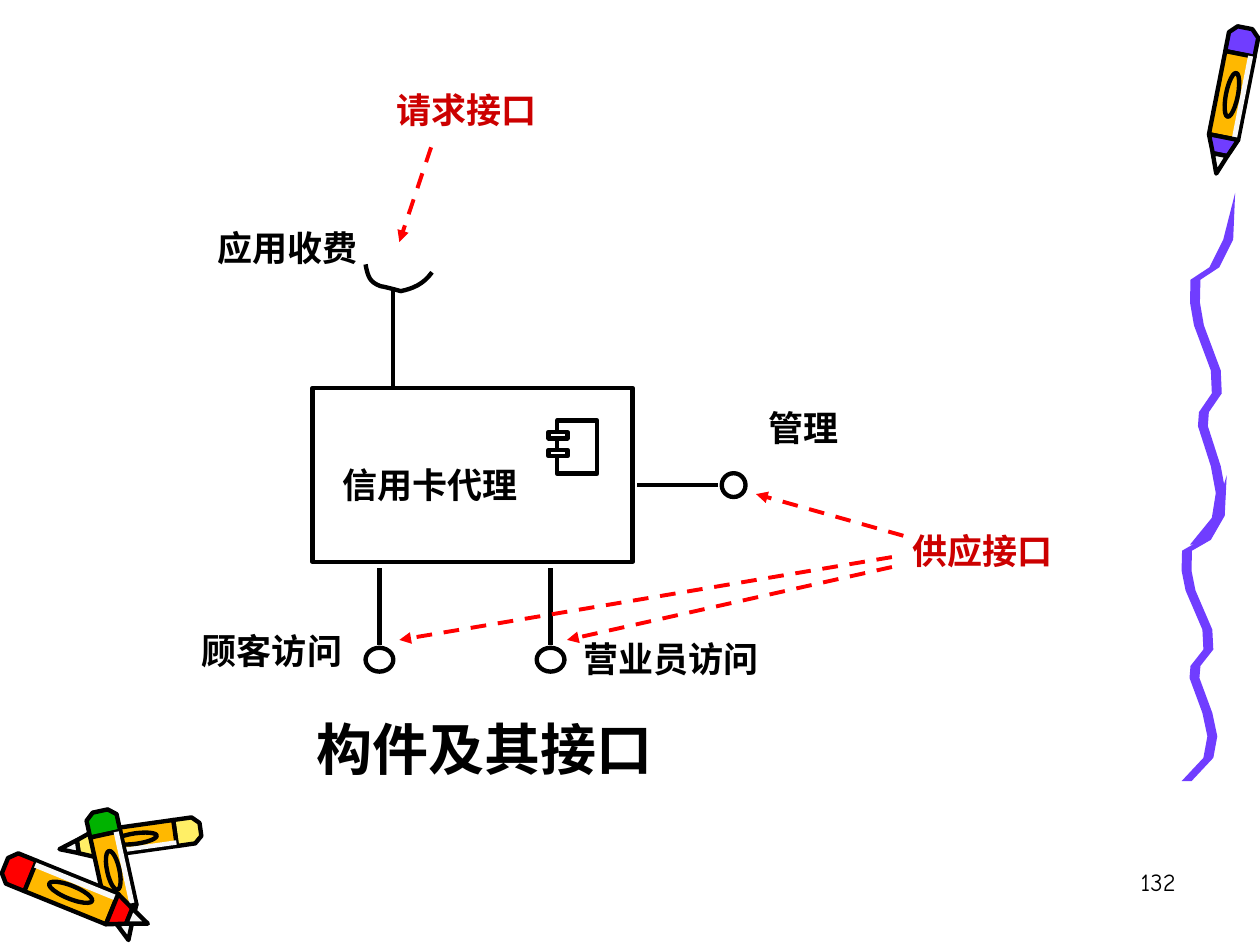
from math import atan2, degrees, hypot

from lxml.etree import SubElement
from pptx import Presentation
from pptx.dml.color import RGBColor
from pptx.enum.dml import MSO_LINE
from pptx.enum.shapes import MSO_CONNECTOR, MSO_SHAPE
from pptx.enum.text import MSO_ANCHOR, PP_ALIGN
from pptx.oxml.ns import qn
from pptx.util import Cm, Pt

BLACK = RGBColor(0x00, 0x00, 0x00)
WHITE = RGBColor(0xFF, 0xFF, 0xFF)
PAPER = RGBColor(0xF8, 0xF8, 0xF8)
RED = RGBColor(0xFF, 0x00, 0x00)
CRIMSON = RGBColor(0xCC, 0x00, 0x00)
GREEN = RGBColor(0x00, 0xB2, 0x00)
ORANGE = RGBColor(0xFF, 0xB8, 0x00)
YELLOW = RGBColor(0xFF, 0xEF, 0x66)
PURPLE = RGBColor(0x70, 0x3D, 0xFF)
CJK_FONT = "Noto Sans CJK SC"
LINE_WIDTH = Pt(2.5)

presentation = Presentation()
presentation.slide_width = Cm(25.4)
presentation.slide_height = Cm(19.05)
slide = presentation.slides.add_slide(presentation.slide_layouts[6])
shapes = slide.shapes


def add_outline(points, close=True):
    corners = [(Cm(x), Cm(y)) for x, y in points]
    builder = shapes.build_freeform(*corners[0])
    builder.add_line_segments(corners[1:], close=close)
    shape = builder.convert_to_shape()
    shape.shadow.inherit = False
    return shape


def add_line(start_x, start_y, end_x, end_y, color=BLACK, width=LINE_WIDTH):
    connector = shapes.add_connector(
        MSO_CONNECTOR.STRAIGHT, Cm(start_x), Cm(start_y), Cm(end_x), Cm(end_y))
    connector.line.color.rgb = color
    connector.line.width = width
    SubElement(connector._element.spPr, qn("a:effectLst"))
    return connector


ribbon_center = [
    (0.9, 0), (0.76, 0.94), (0.48, 1.5), (0.1, 1.75), (0.09, 2.21), (0.17, 2.67), (0.51, 3.58),
    (0.53, 4.04), (0.27, 4.42), (0.25, 4.7), (0.51, 5.51), (0.61, 6.05), (0.53, 6.55), (0.09, 7.09),
]
ribbon_half_width = 0.1
for left, top, stretch in [(23.83, 9.58, 0.87), (24, 3.89, 1)]:
    center = [(left + x, top + y * stretch) for x, y in ribbon_center]
    left_edge = [(x - ribbon_half_width, y) for x, y in center[1:]]
    right_edge = [(x + ribbon_half_width, y) for x, y in center[1:]]
    ribbon = add_outline([center[0]] + right_edge + left_edge[::-1])
    ribbon.fill.solid()
    ribbon.fill.fore_color.rgb = PURPLE
    ribbon.line.fill.background()

# Fractions run along the crayon from cap to tip, then across it from its axis.
cap = [(0.18, -0.5), (0.05, -0.5), (0, -0.25), (0, 0.25), (0.05, 0.5), (0.18, 0.5)]
barrel = [(0.18, -0.5), (0.75, -0.5), (0.75, 0.5), (0.18, 0.5)]
highlight = [(0.18, -0.45), (0.75, -0.45), (0.75, -0.28), (0.18, -0.28)]
cone = [(0.75, -0.5), (0.87, -0.25), (0.87, 0.25), (0.75, 0.5)]
tip = [(0.87, -0.25), (1, 0), (0.87, 0.25)]
ring_center, ring_length, ring_width = 0.46, 0.3, 0.4

crayons = [
    (YELLOW, (4.04, 16.72), (1.2, 17.12), 0.53),
    (GREEN, (2.02, 16.35), (2.59, 18.95), 0.62),
    (RED, (0.1, 17.45), (2.98, 18.62), 0.66),
    (PURPLE, (25.1, 0.56), (24.52, 3.5), 0.6),
]
for color, (cap_x, cap_y), (tip_x, tip_y), thickness in crayons:
    along_x, along_y = tip_x - cap_x, tip_y - cap_y
    length = hypot(along_x, along_y)
    across_x, across_y = -along_y / length * thickness, along_x / length * thickness
    for part, fill_color in [
        (cap, color), (barrel, ORANGE), (highlight, PAPER), (cone, color), (tip, PAPER),
    ]:
        shape = add_outline([
            (cap_x + u * along_x + v * across_x, cap_y + u * along_y + v * across_y)
            for u, v in part])
        shape.fill.solid()
        shape.fill.fore_color.rgb = fill_color
        if part is highlight:
            shape.line.fill.background()
        else:
            shape.line.color.rgb = BLACK
            shape.line.width = LINE_WIDTH
    ring_x, ring_y = cap_x + ring_center * along_x, cap_y + ring_center * along_y
    width, height = length * ring_length, thickness * ring_width
    ring = shapes.add_shape(
        MSO_SHAPE.OVAL, Cm(ring_x - width / 2), Cm(ring_y - height / 2), Cm(width), Cm(height))
    ring.rotation = degrees(atan2(along_y, along_x))
    ring.shadow.inherit = False
    ring.fill.background()
    ring.line.color.rgb = BLACK
    ring.line.width = LINE_WIDTH

component_box = (MSO_SHAPE.RECTANGLE, 6.3, 7.82, 6.45, 3.51)
icon_body = (MSO_SHAPE.RECTANGLE, 11.23, 8.48, 0.81, 1.07)
icon_tabs = [(MSO_SHAPE.RECTANGLE, 11.06, y, 0.38, 0.13) for y in (8.71, 9.07)]
customer_x, clerk_x, socket_x, manager_y = 7.65, 11.1, 7.92, 9.78
access_ports = [(MSO_SHAPE.OVAL, x - 0.28, 13.06, 0.56, 0.48) for x in (customer_x, clerk_x)]
manager_port = (MSO_SHAPE.OVAL, 14.55, manager_y - 0.24, 0.48, 0.48)
for kind, left, top, width, height in [
    component_box, icon_body, *icon_tabs, *access_ports, manager_port,
]:
    shape = shapes.add_shape(kind, Cm(left), Cm(top), Cm(width), Cm(height))
    shape.shadow.inherit = False
    shape.fill.solid()
    shape.fill.fore_color.rgb = WHITE
    shape.line.color.rgb = BLACK
    shape.line.width = LINE_WIDTH

socket = add_outline([
    (7.37, 5.33), (7.42, 5.61), (7.47, 5.69), (7.67, 5.77), (7.8, 5.79), (8.08, 5.87),
    (8.08, 5.87), (8.31, 5.82), (8.53, 5.74), (8.71, 5.49)], close=False)
socket.fill.background()
socket.line.color.rgb = BLACK
socket.line.width = LINE_WIDTH
segments = list(socket._element.iter(qn("a:lnTo")))
socket_outline = segments[0].getparent()
for first in range(0, len(segments), 3):
    curve = SubElement(socket_outline, qn("a:cubicBezTo"))
    for segment in segments[first:first + 3]:
        curve.append(segment[0])
        socket_outline.remove(segment)

add_line(socket_x, 5.87, socket_x, 7.82)
for port_x in (customer_x, clerk_x):
    add_line(port_x, 11.46, port_x, 13)
add_line(12.85, manager_y, 14.48, manager_y)

request_arrow = (8.69, 2.97, 8.05, 4.88)
supply_arrows = [
    (18.21, 10.8, 15.24, 9.96), (17.98, 11.23, 8.05, 12.9), (17.98, 11.43, 11.43, 12.9)]
for ends in [request_arrow, *supply_arrows]:
    arrow = add_line(*ends, RED, Pt(2.25))
    arrow.line.dash_style = MSO_LINE.DASH
    SubElement(arrow.line._get_or_add_ln(), qn("a:tailEnd"), type="triangle")

labels = [
    ("构件及其接口", 3.53, 14, 12.47, 2.16, 32, CJK_FONT, BLACK),
    ("信用卡代理", 6.58, 8.56, 4.19, 2.41, 20, CJK_FONT, BLACK),
    ("应用收费", 3.81, 3.91, 3.99, 2.16, 20, CJK_FONT, BLACK),
    ("管理", 13.59, 7.54, 5.23, 2.16, 20, CJK_FONT, BLACK),
    ("营业员访问", 10.97, 12.19, 5.11, 2.16, 20, CJK_FONT, BLACK),
    ("顾客访问", 2.97, 12.04, 5.03, 2.16, 20, CJK_FONT, BLACK),
    ("请求接口", 7.19, 1.47, 4.45, 1.47, 20, "Times New Roman", CRIMSON),
    ("供应接口", 17.58, 10.36, 4.45, 1.47, 20, "Times New Roman", CRIMSON),
    ("132", 18.67, 17.35, 5.28, 1.27, 14, "Comic Neue", BLACK),
]
for text, left, top, width, height, size, font_name, color in labels:
    is_page_number = text.isdigit()
    text_frame = shapes.add_textbox(Cm(left), Cm(top), Cm(width), Cm(height)).text_frame
    text_frame.word_wrap = True
    text_frame.vertical_anchor = MSO_ANCHOR.TOP if is_page_number else MSO_ANCHOR.MIDDLE
    text_frame.text = text
    paragraph = text_frame.paragraphs[0]
    paragraph.alignment = PP_ALIGN.RIGHT if is_page_number else PP_ALIGN.CENTER
    font = paragraph.runs[0].font
    font.size = Pt(size)
    font.bold = not is_page_number
    font.color.rgb = color
    font.name = font_name
    if not is_page_number:
        SubElement(font._element, qn("a:ea"), typeface=CJK_FONT)

presentation.save("out.pptx")
